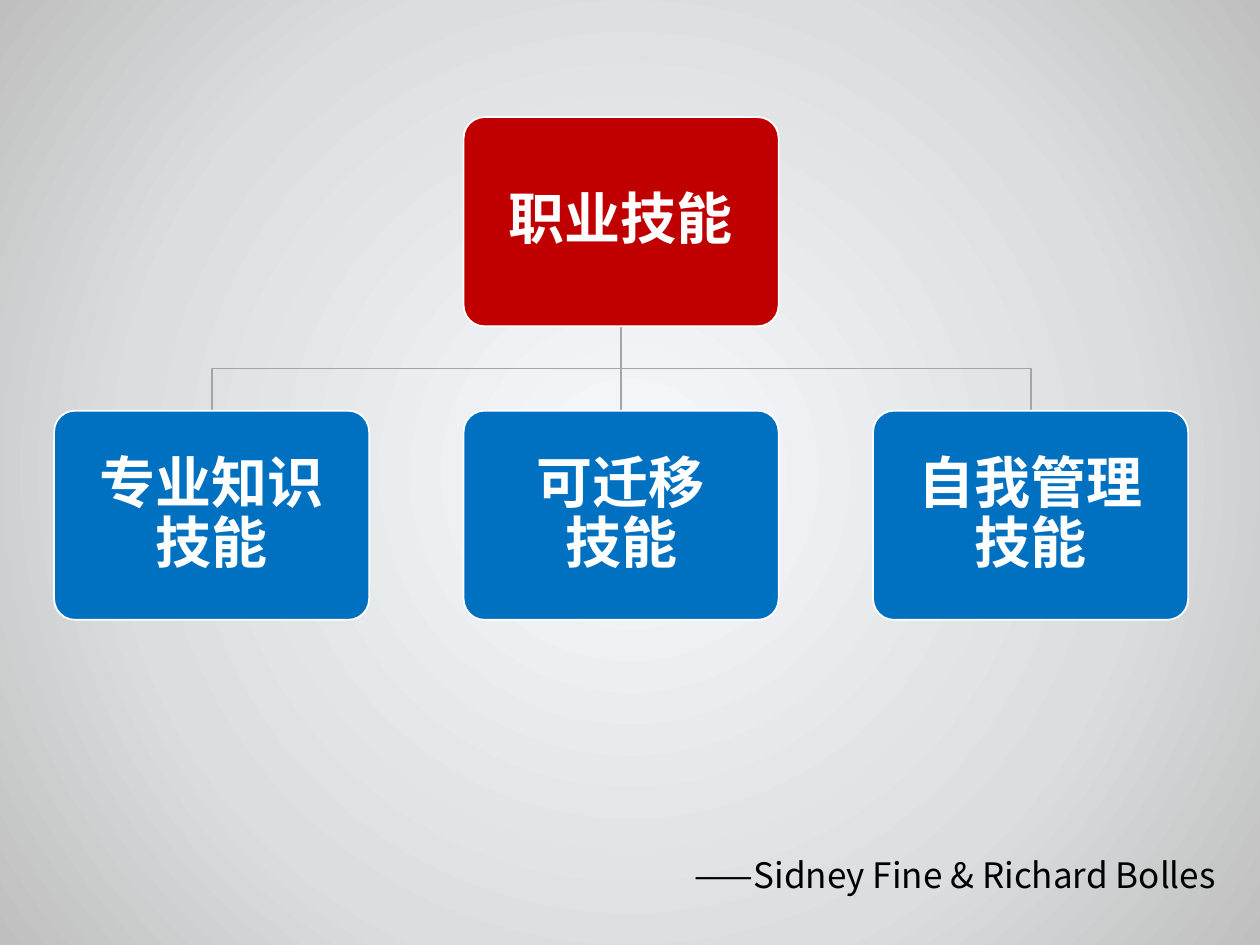
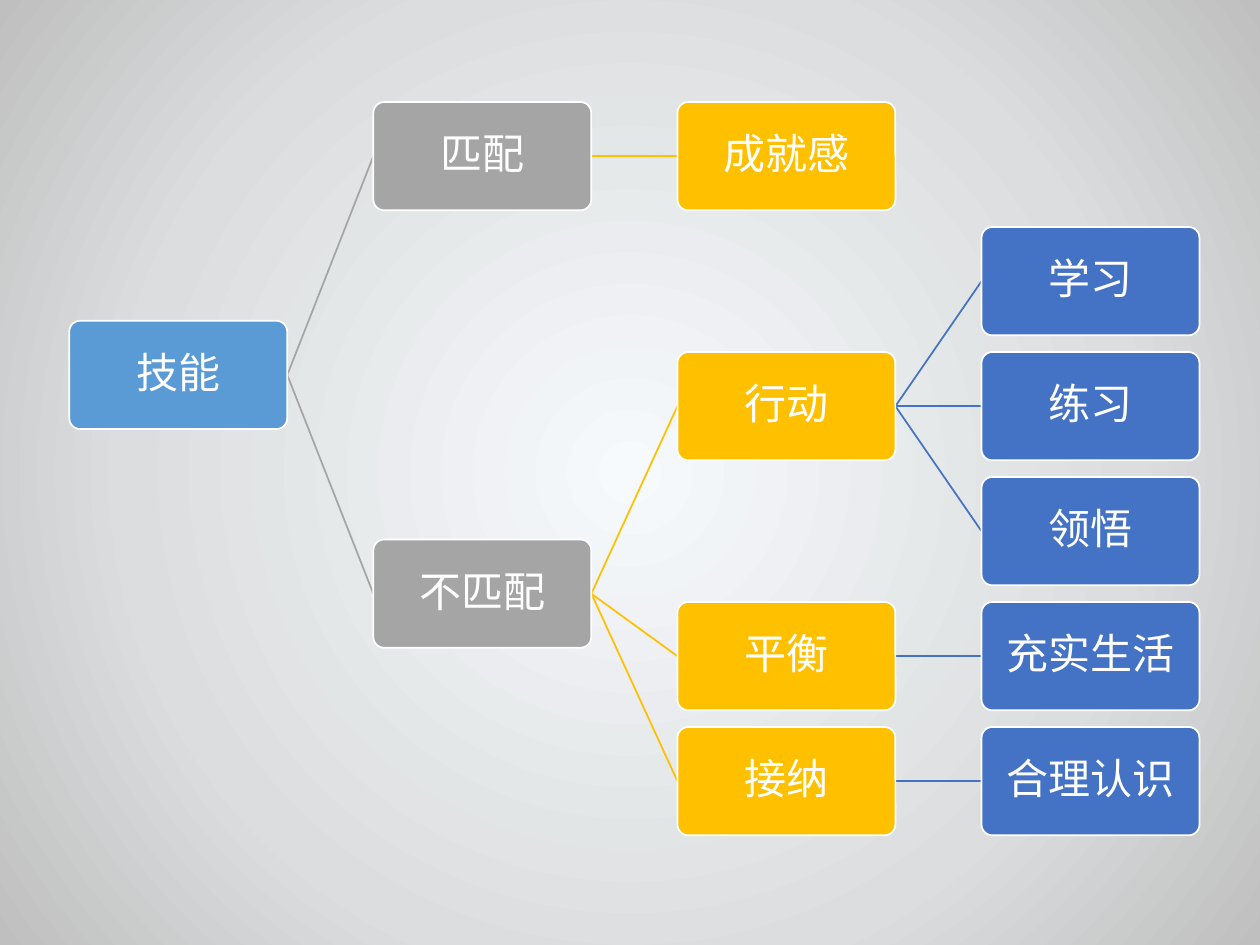
"""Build two slides: the three kinds of career skill, and the skill-matching tree."""
import dataclasses

import lxml.etree
import pptx
import pptx.dml.color
import pptx.enum.shapes
import pptx.enum.text
import pptx.oxml
import pptx.oxml.ns
import pptx.util
from pptx.util import Inches


@dataclasses.dataclass(frozen=True)
class Theme:
    font: str = "Noto Sans CJK SC"
    white: str = "FFFFFF"
    black: str = "000000"
    red: str = "C00000"
    blue: str = "0070C0"
    grey: str = "A5A5A5"
    levels: tuple = ("5B9BD5", "A5A5A5", "FFC000", "4472C4")
    background: tuple = ((0, "F7FAFD"), (64, "DBDDDE"), (100, "BFBFBF"))
    skill_size: int = 32
    tree_size: int = 24
    author_size: int = 20
    line_width: float = 1


theme = Theme()
color = pptx.dml.color.RGBColor.from_string
qn = pptx.oxml.ns.qn
align = pptx.enum.text.PP_ALIGN


def write_text(paragraph, text, size, text_color, bold=False):
    """Fill a paragraph with runs, breaking lines at each newline."""
    for index, line in enumerate(text.split("\n")):
        if index:
            paragraph.add_line_break()
        run = paragraph.add_run()
        run.text = line
        run.font.size = pptx.util.Pt(size)
        run.font.bold = bold
        run.font.color.rgb = color(text_color)
        run.font.name = theme.font
        east_asian = lxml.etree.SubElement(run.font._element, qn("a:ea"))
        east_asian.set("typeface", theme.font)


presentation = pptx.Presentation()
presentation.slide_width = Inches(10)
presentation.slide_height = Inches(7.5)

master = presentation.slide_master
master.background.fill.solid()
background = master.element.find(".//" + qn("p:bgPr"))
stops = "".join(
    f'<a:gs pos="{position * 1000}"><a:srgbClr val="{stop}"/></a:gs>'
    for position, stop in theme.background
)
gradient = pptx.oxml.parse_xml(
    f'<a:gradFill {pptx.oxml.ns.nsdecls("a")} rotWithShape="1"><a:gsLst>{stops}</a:gsLst>'
    '<a:path path="circle"><a:fillToRect l="50000" t="50000" r="50000" b="50000"/></a:path>'
    "</a:gradFill>"
)
background.replace(background[0], gradient)

blank_layout = presentation.slide_layouts[6]
skills_slide = presentation.slides.add_slide(blank_layout)
tree_slide = presentation.slides.add_slide(blank_layout)
boxes = []
lines = []

skill_width, skill_height = 2.5, 1.66
root_left, root_top, branch_top = 3.68, 0.93, 3.26
skill_style = (skill_width, skill_height, theme.skill_size, True, 0.13)
boxes.append((skills_slide, "职业技能", root_left, root_top, theme.red, *skill_style))
root_center = root_left + skill_width / 2
root_bottom = root_top + skill_height
middle = (root_bottom + branch_top) / 2
for column, label in enumerate(("专业知识技能", "可迁移\n技能", "自我管理技能")):
    left = root_left + (column - 1) * 3.25
    center = left + skill_width / 2
    boxes.append((skills_slide, label, left, branch_top, theme.blue, *skill_style))
    points = [(root_center, root_bottom), (center, branch_top)]
    if center != root_center:
        points[1:1] = [(root_center, middle), (center, middle)]
    lines.append((skills_slide, points, theme.grey))

tree = (
    ("技能", 0, None),
    ("匹配", 1, "技能"),
    ("成就感", 2, "匹配"),
    ("不匹配", 1, "技能"),
    ("行动", 2, "不匹配"),
    ("学习", 3, "行动"),
    ("练习", 3, "行动"),
    ("领悟", 3, "行动"),
    ("平衡", 2, "不匹配"),
    ("充实生活", 3, "平衡"),
    ("接纳", 2, "不匹配"),
    ("合理认识", 3, "接纳"),
)
node_width, node_height = 1.73, 0.86
first_left, last_left = 0.55, 7.79
first_top, last_top = 0.81, 5.77
column_step = (last_left - first_left) / 3
row_step = (last_top - first_top) / 5

rows = {}
next_row = 5
for label, level, parent in reversed(tree):
    child_rows = [rows[child] for child, _, owner in tree if owner == label]
    if child_rows:
        rows[label] = (min(child_rows) + max(child_rows)) / 2
    else:
        rows[label] = next_row
        next_row -= 1

for label, level, parent in tree:
    left = first_left + level * column_step
    top = first_top + rows[label] * row_step
    boxes.append((tree_slide, label, left, top, theme.levels[level],
                  node_width, node_height, theme.tree_size, False, 0.02))
    if parent:
        start = (left - column_step + node_width,
                 first_top + rows[parent] * row_step + node_height / 2)
        end = (left, top + node_height / 2)
        lines.append((tree_slide, [start, end], theme.levels[level]))

for slide, points, line_color in lines:
    corners = [(Inches(x), Inches(y)) for x, y in points]
    if len(corners) == 2:
        line = slide.shapes.add_connector(
            pptx.enum.shapes.MSO_CONNECTOR.STRAIGHT, *corners[0], *corners[1])
    else:
        builder = slide.shapes.build_freeform(*corners[0])
        builder.add_line_segments(corners[1:], close=False)
        line = builder.convert_to_shape()
        line.fill.background()
    line.line.color.rgb = color(line_color)
    line.line.width = pptx.util.Pt(theme.line_width)
    lxml.etree.SubElement(line._element.spPr, qn("a:effectLst"))

for slide, label, left, top, fill, width, height, size, bold, inset in boxes:
    box = slide.shapes.add_shape(
        pptx.enum.shapes.MSO_SHAPE.ROUNDED_RECTANGLE,
        Inches(left), Inches(top), Inches(width), Inches(height))
    box.adjustments[0] = 0.1
    box.shadow.inherit = False
    box.fill.solid()
    box.fill.fore_color.rgb = color(fill)
    box.line.color.rgb = color(theme.white)
    box.line.width = pptx.util.Pt(theme.line_width)
    frame = box.text_frame
    frame.word_wrap = True
    frame.vertical_anchor = pptx.enum.text.MSO_ANCHOR.MIDDLE
    frame.margin_left = frame.margin_right = Inches(inset)
    frame.margin_top = frame.margin_bottom = Inches(inset)
    paragraph = frame.paragraphs[0]
    paragraph.alignment = align.CENTER
    paragraph.line_spacing = 0.9
    paragraph.space_after = pptx.util.Pt(round(size * 0.35))
    write_text(paragraph, label, size, theme.white, bold)

author = skills_slide.shapes.add_textbox(Inches(3.5), Inches(6.56), Inches(6.25), Inches(0.61))
author.text_frame.word_wrap = True
author.text_frame.auto_size = pptx.enum.text.MSO_AUTO_SIZE.SHAPE_TO_FIT_TEXT
paragraph = author.text_frame.paragraphs[0]
paragraph.alignment = align.RIGHT
paragraph.line_spacing = 1.5
write_text(paragraph, "——Sidney Fine & Richard Bolles", theme.author_size, theme.black)

presentation.save("out.pptx")
